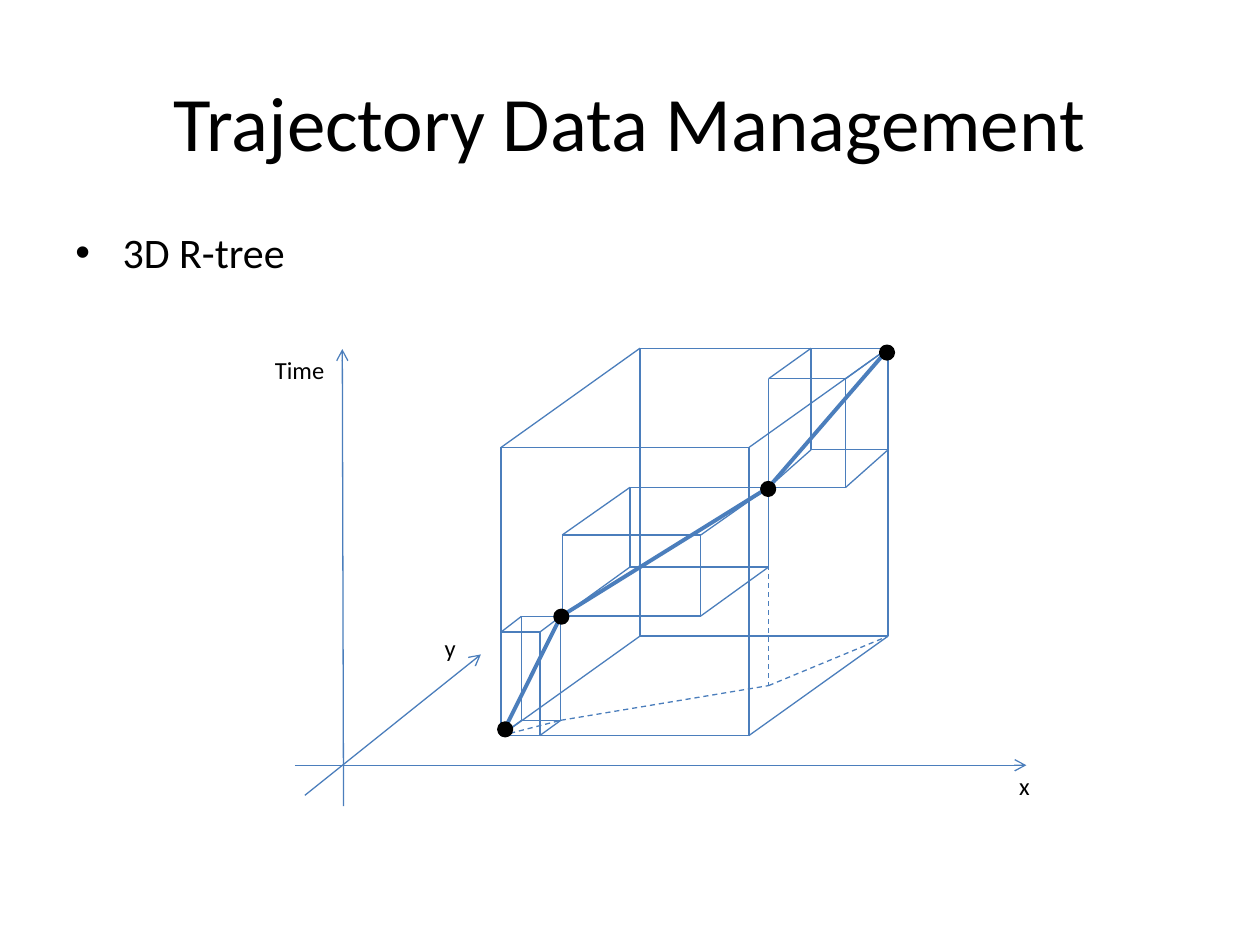
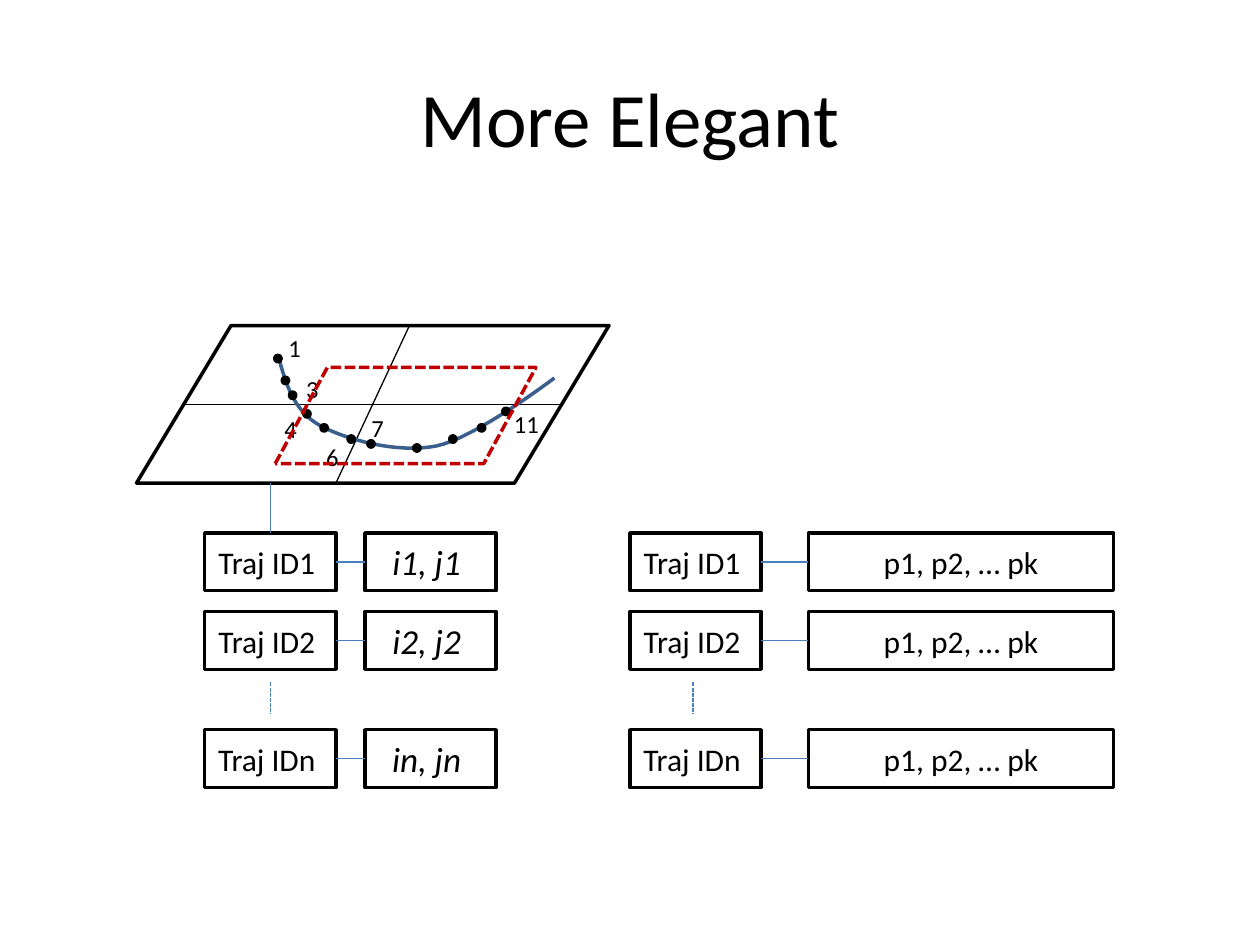
from itertools import pairwise

from lxml.etree import SubElement
from pptx import Presentation
from pptx.dml.color import RGBColor
from pptx.enum.dml import MSO_LINE
from pptx.enum.shapes import MSO_CONNECTOR, MSO_SHAPE
from pptx.enum.text import MSO_ANCHOR, PP_ALIGN
from pptx.oxml.ns import qn
from pptx.util import Pt

COLORS = {"ink": "000000", "edge": "4B7EBC", "curve": "3A5F8C", "query": "C00000"}
COLORS = {name: RGBColor.from_string(value) for name, value in COLORS.items()}
TITLE = {"size": Pt(44)}
BULLET = {"size": Pt(24)}
LABEL = {"size": Pt(14)}
ENTRY = {"size": Pt(18)}
RANGE = {"size": Pt(20), "italic": True}
CENTERED = {"align": PP_ALIGN.CENTER, "anchor": MSO_ANCHOR.MIDDLE}


def place(page, kind, frame, text="", font=None, line="ink", fill=None, dash=None,
          align=PP_ALIGN.LEFT, anchor=MSO_ANCHOR.TOP, wrap=True):
    """Add a preset shape, or a text box when kind is None; frame is in points."""
    frame = [Pt(length) for length in frame]
    if kind is None:
        box = page.shapes.add_textbox(*frame)
    else:
        box = page.shapes.add_shape(kind, *frame)
        box.shadow.inherit = False
        box.line.color.rgb = COLORS[line]
        box.line.width = Pt(2)
        box.line.dash_style = dash
        if fill:
            box.fill.solid()
            box.fill.fore_color.rgb = COLORS[fill]
        else:
            box.fill.background()
    if text:
        box.text_frame.word_wrap = wrap
        box.text_frame.vertical_anchor = anchor
        para = box.text_frame.paragraphs[0]
        para.alignment = align
        span = para.add_run()
        span.text = text
        span.font.color.rgb = COLORS["ink"]
        for name, value in {"name": "Calibri", **font}.items():
            setattr(span.font, name, value)
    return box


def draw_line(page, start, end, color="edge", width=0.75, dash=None, arrow=False):
    ends = [Pt(length) for length in (*start, *end)]
    connector = page.shapes.add_connector(MSO_CONNECTOR.STRAIGHT, *ends)
    connector.line.color.rgb = COLORS[color]
    connector.line.width = Pt(width)
    connector.line.dash_style = dash
    properties = connector._element.spPr
    if arrow:
        SubElement(properties.find(qn("a:ln")), qn("a:tailEnd"), type="arrow")
    SubElement(properties, qn("a:effectLst"))
    return connector


deck = Presentation()
deck.slide_width, deck.slide_height = Pt(720), Pt(540)
pages = []
for title, top in (("Trajectory Data Management", 24), ("More Elegant", 21.6)):
    page = deck.slides.add_slide(deck.slide_layouts[6])
    place(page, None, (36, top, 648, 90), title, TITLE, **CENTERED)
    pages.append(page)
tree_page, index_page = pages

# 3D R-tree: bullet and axes
bullet = place(tree_page, None, (36, 126, 648, 356), "3D R-tree", BULLET)
settings = bullet.text_frame.paragraphs[0]._p.get_or_add_pPr()
settings.set("marL", str(Pt(27)))
settings.set("indent", str(-Pt(27)))
SubElement(settings, qn("a:buFont"), typeface="Arial")
SubElement(settings, qn("a:buChar"), char="•")

for start, end in (((168.5, 437.3), (586.5, 437.3)),
                   ((174.2, 454.5), (274.8, 374)),
                   ((196.3, 460.6), (195.6, 199.5))):
    draw_line(tree_page, start, end, arrow=True)
for text, left, top in (("x", 575.3, 437.2), ("Time", 150, 199.4), ("y", 247, 358)):
    place(tree_page, None, (left, top, 45, 24.5), text, LABEL)

# Each bounding cuboid has a front and a back face: left, top, right, bottom
cuboids = [
    ((286.3, 255.7, 428, 420.3), (365.7, 199, 507.5, 363.5)),
    ((286.3, 361.2, 308.5, 420.3), (298, 352.2, 320.5, 411.6)),
    ((321.3, 305.7, 400.5, 352), (360, 278.5, 439.2, 324)),
    ((439.2, 216.4, 483.3, 278.5), (463.5, 199, 507.5, 257)),
]
for faces in cuboids:
    front, back = [
        [(left, top), (right, top), (right, bottom), (left, bottom)]
        for left, top, right, bottom in faces
    ]
    for corners in (front, back):
        for start, end in pairwise(corners + corners[:1]):
            draw_line(tree_page, start, end)
    for start, end in zip(front, back):
        draw_line(tree_page, start, end)

trajectory = [(286.5, 420.3), (320.5, 352.2), (439.2, 278.5), (507.5, 199.5)]
ground_track = [(286.5, 420.3), (320.5, 411.6), (439.2, 391.8), (507.5, 363.5)]
for start, end in pairwise(trajectory):
    draw_line(tree_page, start, end, width=2.25)
for start, end in (*pairwise(ground_track), ((439.2, 312.5), ground_track[2])):
    draw_line(tree_page, start, end, dash=MSO_LINE.DASH)
for x, y in ((320.8, 352.4), (288.7, 416.8), (439, 279.4), (506.9, 201.5)):
    place(tree_page, MSO_SHAPE.OVAL, (x - 3.6, y - 3.6, 7.2, 7.2), fill="ink")

# Grid of cells on the plane
place(index_page, MSO_SHAPE.FLOWCHART_DATA, (78, 186, 270, 90))
draw_line(index_page, (105, 231), (321, 231), "ink")
draw_line(index_page, (234, 186), (192, 276), "ink")

# Trajectory entries below the plane
ID_WIDTH, ROW_HEIGHT = 75, 33
tables = [
    (117, 208.6, 75, ("i1, j1 ", "i2, j2 ", "in, jn "), RANGE),
    (360, 462, 174.3, ("p1, p2, … pk",) * 3, ENTRY),
]
id_boxes = []
for id_left, entry_left, entry_width, entries, font in tables:
    for name, entry, top in zip(("1", "2", "n"), entries, (304.6, 349.5, 417)):
        id_box = place(index_page, MSO_SHAPE.RECTANGLE,
                       (id_left, top, ID_WIDTH, ROW_HEIGHT),
                       f"Traj ID{name} ", ENTRY, **CENTERED)
        entry_box = place(index_page, MSO_SHAPE.RECTANGLE,
                          (entry_left, top, entry_width, ROW_HEIGHT),
                          entry, font, **CENTERED)
        middle = top + ROW_HEIGHT / 2
        link = draw_line(index_page, (id_left + ID_WIDTH, middle), (entry_left, middle))
        link.begin_connect(id_box, 3)
        link.end_connect(entry_box, 1)
        id_boxes.append(id_box)
plane_link = draw_line(index_page, (154.5, 276), (154.5, 304.6))
plane_link.end_connect(id_boxes[0], 0)
for x in (154.5, 396):
    draw_line(index_page, (x, 390), (x, 408), dash=MSO_LINE.SQUARE_DOT)

# Smooth trajectory, sampled from its cubic segments
controls = [(159.1, 203.8), (163.4, 219.6), (167.8, 234.7), (182.9, 243.2),
            (198, 251.3), (226.8, 259.2), (249.1, 254.9),
            (271.4, 250.6), (316.8, 216), (316.8, 216)]
STEPS = 16
curve_points = []
for first in range(0, len(controls) - 1, 3):
    for step in range(1, STEPS + 1):
        t = step / STEPS
        weights = ((1 - t) ** 3, 3 * t * (1 - t) ** 2, 3 * t * t * (1 - t), t ** 3)
        curve_points.append([
            Pt(sum(weight * value for weight, value in zip(weights, axis)))
            for axis in zip(*controls[first:first + 4])
        ])
builder = index_page.shapes.build_freeform(*[Pt(value) for value in controls[0]])
builder.add_line_segments(curve_points, close=False)
curve = builder.convert_to_shape()
curve.shadow.inherit = False
curve.fill.background()
curve.line.color.rgb = COLORS["curve"]
curve.line.width = Pt(2)

samples = [(158.8, 204.9), (163.1, 217.4), (167.2, 225.9), (175.4, 236.5),
           (185.2, 244.5), (200.7, 250.9), (212, 253.7), (238.2, 256),
           (258.8, 250.9), (275.2, 244.5), (289.1, 235.1)]
for x, y in samples:
    place(index_page, MSO_SHAPE.OVAL, (x - 1.8, y - 1.8, 3.6, 3.6), fill="ink")
for text, left, top, width in (("1", 157.7, 186.5, 21.6), ("3", 167.8, 210.2, 21.6),
                               ("6", 179.3, 249.1, 21.6), ("4", 155.5, 232.9, 21.6),
                               ("7", 205.2, 232.6, 21.6), ("11", 286.6, 230.4, 28.8)):
    place(index_page, None, (left, top, width, 24.5), text, LABEL, wrap=False)
place(index_page, MSO_SHAPE.FLOWCHART_DATA, (157.3, 210, 149, 55),
      line="query", dash=MSO_LINE.SQUARE_DOT)

deck.save("out.pptx")
